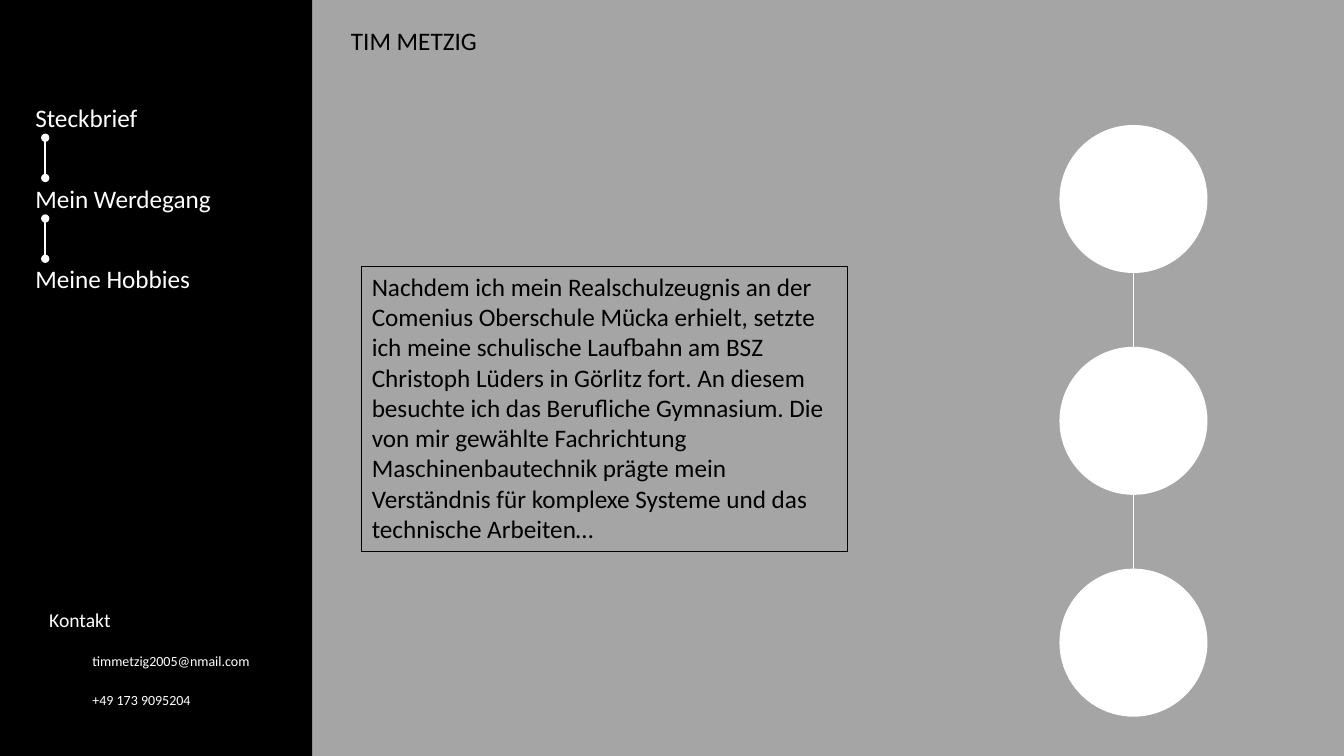
from lxml import etree
from pptx import Presentation
from pptx.dml.color import RGBColor
from pptx.enum.shapes import MSO_CONNECTOR, MSO_SHAPE
from pptx.enum.text import MSO_ANCHOR, MSO_AUTO_SIZE, PP_ALIGN
from pptx.oxml.ns import qn
from pptx.util import Cm, Pt

COLORS = {"black": "000000", "white": "FFFFFF", "gray": "A5A5A5"}
FONT = "Calibri"
WIDTH, HEIGHT = 33.87, 19.05
SIDEBAR_WIDTH = 7.87
LINE_HEIGHT = 1.02

NAVIGATION = ["Steckbrief", "Mein Werdegang", "Meine Hobbies"]
CONTACTS = ["timmetzig2005@nmail.com", "+49 173 9095204"]
CAREER = (
    "Nachdem ich mein Realschulzeugnis an der Comenius Oberschule Mücka erhielt, "
    "setzte ich meine schulische Laufbahn am BSZ Christoph Lüders in Görlitz fort. "
    "An diesem besuchte ich das Berufliche Gymnasium. Die von mir gewählte "
    "Fachrichtung Maschinenbautechnik prägte mein Verständnis für komplexe Systeme "
    "und das technische Arbeiten…"
)


def color(name):
    return RGBColor.from_string(COLORS[name])


def write(shape, text, size, color_name):
    frame = shape.text_frame
    frame.text = text
    frame.word_wrap = True
    frame.auto_size = MSO_AUTO_SIZE.NONE
    frame.vertical_anchor = MSO_ANCHOR.TOP
    paragraph = frame.paragraphs[0]
    paragraph.alignment = PP_ALIGN.LEFT
    font = paragraph.font
    font.name, font.size = FONT, Pt(size)
    font.color.rgb = color(color_name)


def add_text(slide, box, text, size, color_name):
    shape = slide.shapes.add_textbox(*map(Cm, box))
    write(shape, text, size, color_name)
    return shape


def add_filled(slide, kind, box, color_name):
    shape = slide.shapes.add_shape(kind, *map(Cm, box))
    shape.shadow.inherit = False
    shape.fill.solid()
    shape.fill.fore_color.rgb = color(color_name)
    shape.line.fill.background()


def add_vertical_line(slide, x, top, bottom, width, dots=False):
    """Draw a white line, with a dot at each end if asked."""
    line = slide.shapes.add_connector(
        MSO_CONNECTOR.STRAIGHT, Cm(x), Cm(top), Cm(x), Cm(bottom))
    line.line.color.rgb = color("white")
    line.line.width = Pt(width)
    properties = line._element.spPr
    if dots:
        outline = properties.find(qn("a:ln"))
        for end in ("a:headEnd", "a:tailEnd"):
            etree.SubElement(outline, qn(end), type="oval")
    etree.SubElement(properties, qn("a:effectLst"))


def add_title(slide, box, text):
    title = slide.shapes.title
    title.left, title.top, title.width, title.height = map(Cm, box)
    write(title, text, 18, "black")
    # The title belongs in front of the background panels.
    slide.shapes._spTree.append(title._element)


def add_navigation(slide, box):
    left, top, width, height = box
    pitch = (height - LINE_HEIGHT) / (len(NAVIGATION) - 1)
    for index, label in enumerate(NAVIGATION):
        label_top = top + index * pitch
        add_text(slide, (left, label_top, width, LINE_HEIGHT), label, 18, "white")
        if index:
            add_vertical_line(slide, left + 0.5, label_top - pitch + LINE_HEIGHT,
                              label_top, 1.5, dots=True)


def add_contact(slide, box):
    left, top, width, height = box
    add_text(slide, (left, top, width, 1.45), "Kontakt", 14, "white")
    for index, contact in enumerate(CONTACTS):
        entry = (left + 1.09, top + 1.12 + index * 0.99, width - 1.09, 0.69)
        add_text(slide, entry, contact, 10, "white")


def add_career(slide, box):
    shape = add_text(slide, box, CAREER, 18, "black")
    shape.line.color.rgb = color("black")
    shape.line.width = Pt(0.75)


def add_circle_chain(slide, box, count=3):
    left, top, diameter, height = box
    pitch = (height - diameter) / (count - 1)
    for index in range(count):
        circle_top = top + index * pitch
        add_filled(slide, MSO_SHAPE.OVAL,
                   (left, circle_top, diameter, diameter), "white")
        if index:
            add_vertical_line(slide, left + diameter / 2,
                              circle_top - pitch + diameter, circle_top, 1)


def main():
    presentation = Presentation()
    presentation.slide_width, presentation.slide_height = Cm(WIDTH), Cm(HEIGHT)
    slide = presentation.slides.add_slide(presentation.slide_layouts[5])
    add_filled(slide, MSO_SHAPE.RECTANGLE, (0, 0, WIDTH, HEIGHT), "gray")
    add_filled(slide, MSO_SHAPE.RECTANGLE, (0, 0, SIDEBAR_WIDTH, HEIGHT), "black")
    add_title(slide, (8.59, 0.51, 24.74, LINE_HEIGHT), "TIM METZIG")
    add_navigation(slide, (0.64, 2.45, 6.58, 5.09))
    add_contact(slide, (0.99, 15.19, 5.74, 2.8))
    add_career(slide, (9.12, 6.71, 12.24, 7.19))
    add_circle_chain(slide, (26.7, 3.15, 3.73, 14.91))
    presentation.save("out.pptx")


if __name__ == "__main__":
    main()
